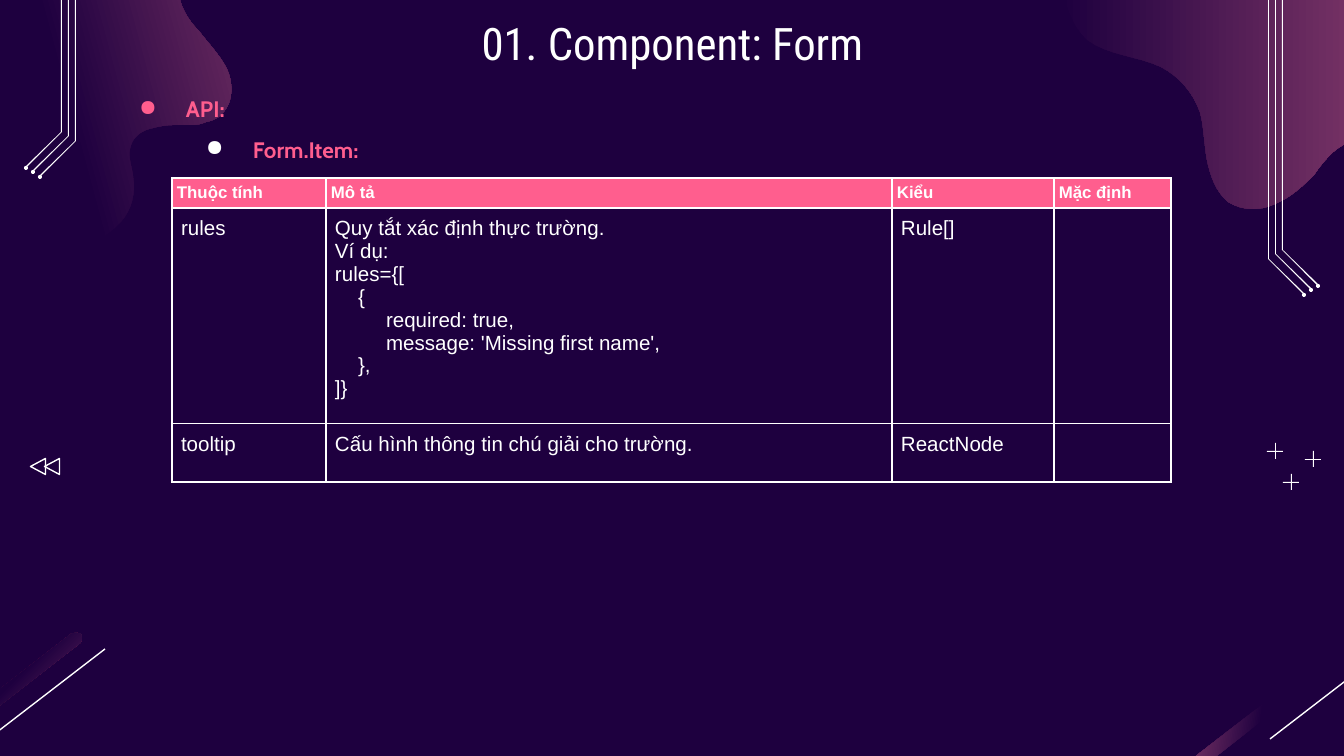
from lxml.etree import SubElement as Sub
from pptx import Presentation
from pptx.dml.color import RGBColor as Rgb
from pptx.enum.shapes import MSO_CONNECTOR as Connector, MSO_SHAPE as Preset
from pptx.enum.text import MSO_ANCHOR as Anchor, PP_ALIGN as Align
from pptx.oxml.ns import qn
from pptx.util import Pt

SCALE = 914400 / 134.4
WIDTH, HEIGHT = 1344, 756
COLORS = {"night": "1E003F", "plum": "A64D79", "pink": "FF5E8E", "white": "FFFFFF"}

LEFT_BLOB = [
    (65, 255), (99, 246, 116, 227, 121, 222), (132, 210, 136, 192, 133, 176),
    (132, 167, 128, 157, 130, 149), (132, 137, 142, 130, 153, 128),
    (167, 124, 179, 125, 191, 125), (196, 125, 202, 124, 206, 122),
    (212, 121, 219, 118, 223, 113), (234, 101, 233, 82, 227, 69),
    (220, 55, 208, 43, 199, 31), (188, 20, 179, 5, 179, -9),
    (179, -22, 183, -34, 192, -42), (198, -47, 206, -51, 214, -52),
    (226, -56, 241, -56, 255, -55), (270, -55, 285, -54, 300, -56),
    (319, -62, 331, -69, 339, -78), (348, -89, 351, -105, 347, -117),
    (344, -141, 328, -168, 313, -180), (289, -202, 255, -208, 224, -203),
    (173, -188, 138, -148, 94, -128), (87, -125, 79, -122, 73, -121),
    (30, -109, -17, -114, -63, -110), (-83, -109, -103, -105, -122, -99),
    (-140, -95, -156, -90, -172, -82), (-195, -73, -218, -59, -234, -40),
    (-250, -23, -262, 3, -261, 30), (-259, 62, -237, 91, -210, 108),
    (-181, 125, -151, 130, -118, 133), (-99, 136, -81, 136, -62, 142),
    (-43, 148, -26, 160, -17, 179), (-11, 194, -11, 208, -4, 223),
    (8, 247, 39, 262, 65, 255),
]
RIGHT_BLOB = [
    (1512, 51), (1512, 17, 1503, -17, 1485, -47), (1470, -73, 1449, -94, 1422, -103),
    (1392, -114, 1360, -109, 1329, -113), (1300, -117, 1270, -130, 1249, -152),
    (1234, -165, 1222, -181, 1206, -190), (1187, -199, 1165, -196, 1145, -192),
    (1129, -188, 1113, -183, 1101, -173), (1079, -157, 1070, -130, 1066, -105),
    (1062, -87, 1060, -69, 1060, -51), (1060, -42, 1060, -32, 1062, -24),
    (1063, 0, 1070, 24, 1087, 40), (1109, 56, 1138, 56, 1161, 67),
    (1180, 77, 1193, 93, 1200, 112), (1204, 126, 1204, 144, 1207, 160),
    (1210, 175, 1216, 192, 1228, 202), (1242, 211, 1261, 211, 1275, 204),
    (1290, 198, 1302, 187, 1314, 175), (1321, 165, 1328, 156, 1337, 149),
    (1347, 142, 1357, 138, 1368, 142), (1388, 148, 1395, 175, 1414, 185),
    (1458, 211, 1489, 151, 1501, 118), (1508, 97, 1512, 74, 1512, 51),
]
STREAK = [
    (75, 633), (77, 633, 79, 633, 81, 634), (82, 638, 82, 642, 79, 644), (-109, 790),
    (-113, 792, -117, 792, -118, 789), (-121, 786, -121, 782, -117, 780), (71, 634),
]
STREAK_GAP = 1282
CODE = [
    ("Quy tắt xác định thực trường.", 0), ("Ví dụ:", 0), ("rules={[", 0), ("{", 23),
    ("required: true,", 51), ("message: 'Missing first name',", 51), ("},", 23), ("]}", 0),
]
ROWS = [
    [[("Thuộc tính", 0)], [("Mô tả", 0)], [("Kiểu", 0)], [("Mặc định", 0)]],
    [[("rules", 0)], CODE, [("Rule[]", 0)], []],
    [[("tooltip", 0)], [("Cấu hình thông tin chú giải cho trường.", 0)], [("ReactNode", 0)], []],
]


def px(length):
    return round(length * SCALE)


def rgb(color):
    return Rgb.from_string(COLORS[color])


def write(para, text, size=11, font="Arial", color="white", bold=False, align=Align.LEFT, indent=0):
    para.alignment = align
    if indent:
        para._p.get_or_add_pPr().set("marL", str(px(indent)))
    span = para.add_run()
    span.text = text
    span.font.size, span.font.name, span.font.bold = Pt(size), font, bold
    span.font.color.rgb = rgb(color)


def set_insets(target, inset):
    target.margin_left = target.margin_right = px(inset)
    target.margin_top = target.margin_bottom = px(inset)


def flatten(path, steps=8):
    points = [path[0]]
    for node in path[1:]:
        if len(node) == 2:
            points.append(node)
            continue
        start, (a, b, c, d, e, f) = points[-1], node
        for step in range(1, steps + 1):
            t = step / steps
            u = 1 - t
            points.append(tuple(
                u**3 * p + 3 * u * u * t * q + 3 * u * t * t * r + t**3 * s
                for p, q, r, s in zip(start, (a, b), (c, d), (e, f))))
    return points


class SlideBuilder:
    def __init__(self, deck):
        self.slide = deck.slides.add_slide(deck.slide_layouts[5])
        self.shapes = self.slide.shapes
        self.slide.background.fill.solid()
        self.slide.background.fill.fore_color.rgb = rgb("night")

    def outline(self, path):
        points = [(px(x), px(y)) for x, y in flatten(path)]
        builder = self.shapes.build_freeform(*points[0], scale=1.0)
        builder.add_line_segments(points[1:], close=True)
        return self.paint(builder.convert_to_shape())

    def paint(self, shape):
        shape.shadow.inherit = False
        shape.fill.solid()
        shape.fill.fore_color.rgb = rgb("white")
        shape.line.fill.background()
        return shape

    def gradient(self, path, stops, angle=None):
        shape = self.outline(path)
        shape.fill.gradient()
        grad = shape._element.spPr.find(qn("a:gradFill"))
        for child in list(grad):
            grad.remove(child)
        stop_list = Sub(grad, qn("a:gsLst"))
        for position, color in stops:
            stop = Sub(stop_list, qn("a:gs"), pos=str(position * 1000))
            Sub(stop, qn("a:srgbClr"), val=COLORS[color])
        if angle is None:
            radial = Sub(grad, qn("a:path"), path="circle")
            Sub(radial, qn("a:fillToRect"), r="100000", b="100000")
        else:
            Sub(grad, qn("a:lin"), ang=str(round(angle * 60000)), scaled="0")

    def preset(self, kind, x, y, width, height):
        return self.paint(self.shapes.add_shape(kind, px(x), px(y), px(width), px(height)))

    def arrow_mark(self, x, y):
        shape = self.preset(Preset.ISOSCELES_TRIANGLE, x, y, 16, 15)
        shape.rotation = 270
        shape.fill.background()
        shape.line.color.rgb, shape.line.width = rgb("white"), Pt(0.75)

    def line(self, *ends):
        line = self.shapes.add_connector(Connector.STRAIGHT, *map(px, ends))
        line.line.color.rgb, line.line.width = rgb("white"), Pt(0.75)
        Sub(line._element.spPr, qn("a:effectLst"))

    def trace(self, x, bend, shift=0, mirrored=False):
        strip = [(x, -160), (x + 1, -160), (x + 1, bend), (x + 37, bend + 35),
                 (x + 36, bend + 36), (x, bend)]
        self.outline([(WIDTH - a if mirrored else a, b + shift) for a, b in strip])
        tip = WIDTH - x - 36 if mirrored else x + 36
        self.preset(Preset.OVAL, tip - 2, bend + 34 + shift, 4, 4)

    def plus(self, x, y):
        self.preset(Preset.RECTANGLE, x - 8, y, 16, 1)
        self.preset(Preset.RECTANGLE, x, y - 8, 1, 16)

    def title(self, text, x, y, width, height):
        box = self.shapes.title
        box.left, box.top, box.width, box.height = map(px, (x, y, width, height))
        frame = box.text_frame
        set_insets(frame, 13)
        frame.vertical_anchor = Anchor.MIDDLE
        write(frame.paragraphs[0], text, size=24, font="Roboto Condensed", align=Align.CENTER)

    def bullets(self, items, x, y, width, height):
        frame = self.shapes.add_textbox(*map(px, (x, y, width, height))).text_frame
        frame.word_wrap = True
        set_insets(frame, 13)
        for level, (text, bullet) in enumerate(items):
            para = frame.add_paragraph() if level else frame.paragraphs[0]
            para.level, para.line_spacing = level, 1.5
            write(para, text, size=12, font="Cabin", color="pink", bold=True, indent=67 * (level + 1))
            props = para._p.get_or_add_pPr()
            props.set("indent", str(px(-47)))
            Sub(Sub(props, qn("a:buClr")), qn("a:srgbClr"), val=COLORS[bullet])
            Sub(props, qn("a:buChar"), char="●")

    def table(self, rows, x, y, widths, heights):
        table = self.shapes.add_table(
            len(rows), len(widths), *map(px, (x, y, sum(widths), sum(heights)))).table
        table.horz_banding = False
        for column, width in zip(table.columns, widths):
            column.width = px(width)
        for index, (row, height) in enumerate(zip(rows, heights)):
            table.rows[index].height = px(height)
            for column, lines in enumerate(row):
                self.cell(table.cell(index, column), lines, header=index == 0)

    def cell(self, cell, lines, header):
        props = cell._tc.get_or_add_tcPr()
        for side in ("lnL", "lnR", "lnT", "lnB"):
            border = Sub(props, qn(f"a:{side}"), w=str(Pt(1)))
            Sub(Sub(border, qn("a:solidFill")), qn("a:srgbClr"), val=COLORS["white"])
        if header:
            cell.fill.solid()
            cell.fill.fore_color.rgb = rgb("pink")
        else:
            cell.fill.background()
        set_insets(cell, 5 if header else 9)
        frame = cell.text_frame
        for number, (text, indent) in enumerate(lines):
            para = frame.add_paragraph() if number else frame.paragraphs[0]
            write(para, text, size=9 if header else 11, bold=header, indent=indent)


def main():
    deck = Presentation()
    deck.slide_width, deck.slide_height = px(WIDTH), px(HEIGHT)
    page = SlideBuilder(deck)
    late_glow = [(0, "night"), (50, "night"), (100, "plum")]
    page.gradient(LEFT_BLOB, late_glow, angle=345)
    page.gradient(RIGHT_BLOB, [(0, "night"), (100, "plum")], angle=0)
    for shift, angle in ((0, None), (STREAK_GAP, 187.3)):
        streak = [tuple(v + shift * (i % 2 == 0) for i, v in enumerate(node)) for node in STREAK]
        page.gradient(streak, late_glow, angle)
        page.line(105 + shift, 649, shift - 12, 739)
    for shift, mirrored in ((0, False), (-118, True)):
        for x, bend in ((1282, 250), (1275, 254), (1268, 259)):
            page.trace(x, bend, shift, mirrored)
    for x, y in ((1291, 482), (1313, 459), (1275, 451)):
        page.plus(x, y)
    for x in (30, 44):
        page.arrow_mark(x, 459)
    page.bullets([("API:", "pink"), ("Form.Item:", "white")], 106, 69, 1091, 98)
    page.title("01. Component: Form", 106, 0, 1133, 85)
    page.table(ROWS, 172, 178, [154, 566, 162, 117], [30, 201, 48])
    deck.save("out.pptx")


if __name__ == "__main__":
    main()
